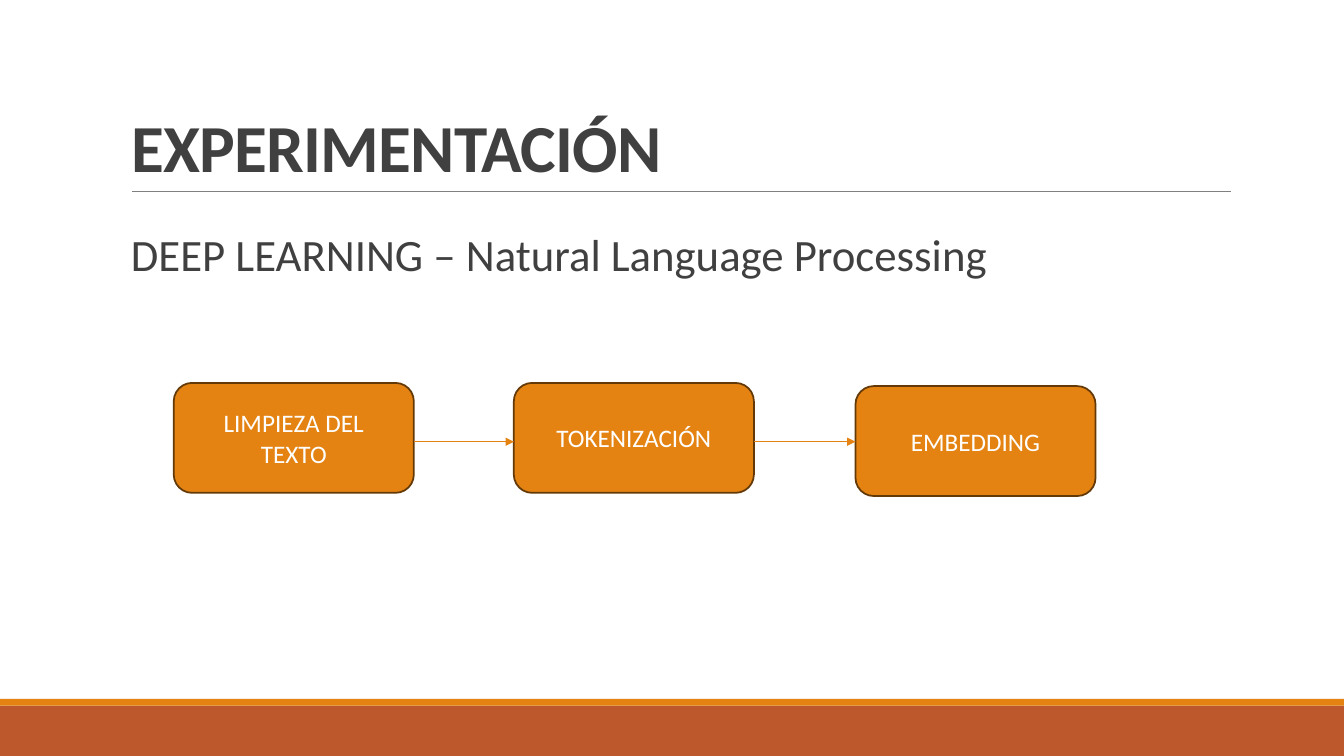
from dataclasses import dataclass

from lxml.etree import SubElement
from pptx import Presentation
from pptx.dml.color import RGBColor as RGB
from pptx.enum.shapes import MSO_CONNECTOR as CONNECTOR, MSO_SHAPE as SHAPE
from pptx.enum.text import MSO_ANCHOR as ANCHOR, MSO_AUTO_SIZE as AUTO, PP_ALIGN as ALIGN
from pptx.oxml.ns import qn
from pptx.util import Cm, Pt

TITLE = "EXPERIMENTACIÓN"
SUBTITLE = "DEEP LEARNING – Natural Language Processing"
# Step label, left and top in cm
STEPS = [
    ("LIMPIEZA DEL TEXTO", 4.38, 9.65),
    ("TOKENIZACIÓN", 12.95, 9.65),
    ("EMBEDDING", 21.56, 9.73),
]
STEP_W, STEP_H = 6.05, 2.77
ARROW_Y = 11.13
SLIDE_W, SLIDE_H = 33.87, 19.05
FOOTER_H, STRIPE_H = 1.27, 0.17


@dataclass(frozen=True)
class Theme:
    font: str = "Calibri"
    text: RGB = RGB(0x40, 0x40, 0x40)
    white: RGB = RGB(0xFF, 0xFF, 0xFF)
    rule: RGB = RGB(0x80, 0x80, 0x80)
    orange: RGB = RGB(0xE4, 0x83, 0x12)
    rust: RGB = RGB(0xBD, 0x58, 0x2C)
    edge: RGB = RGB(0x64, 0x39, 0x08)
    title_size: int = 48
    subtitle_size: int = 32
    step_size: int = 18


THEME = Theme()


def place(sp, left, top, width, height):
    sp.left, sp.top, sp.width, sp.height = map(Cm, (left, top, width, height))


def write(sp, text, size, color, align, anchor, spacing=1.0, bold=False):
    """Fill a shape with one formatted paragraph and return that paragraph."""
    tf = sp.text_frame
    tf.text = text
    tf.word_wrap, tf.auto_size, tf.vertical_anchor = True, AUTO.NONE, anchor
    p = tf.paragraphs[0]
    p.alignment, p.line_spacing, p.space_before = align, spacing, Pt(0)
    font = p.runs[0].font
    font.name, font.size, font.bold = THEME.font, Pt(size), bold
    font.color.rgb = color
    return p


def add_block(slide, kind, box, fill, edge=None):
    sp = slide.shapes.add_shape(kind, *map(Cm, box))
    sp.shadow.inherit = False
    sp.fill.solid()
    sp.fill.fore_color.rgb = fill
    if edge is None:
        sp.line.fill.background()
    else:
        sp.line.color.rgb, sp.line.width = edge, Pt(1.25)
    return sp


def add_line(slide, x1, x2, y, color, width, arrow=False):
    line = slide.shapes.add_connector(CONNECTOR.STRAIGHT, Cm(x1), Cm(y), Cm(x2), Cm(y))
    line.line.color.rgb, line.line.width = color, Pt(width)
    if arrow:
        SubElement(line.line._get_or_add_ln(), qn("a:tailEnd"), type="triangle")
    SubElement(line._element.spPr, qn("a:effectLst"))


def add_frame(slide):
    footer_top = SLIDE_H - FOOTER_H
    add_block(slide, SHAPE.RECTANGLE, (0, footer_top, SLIDE_W, FOOTER_H), THEME.rust)
    add_block(slide, SHAPE.RECTANGLE, (0, footer_top - STRIPE_H, SLIDE_W, STRIPE_H), THEME.orange)
    add_line(slide, 3.33, 31.01, 4.83, THEME.rule, 0.5)


def add_headings(slide):
    title, body = slide.placeholders
    place(title, 3.05, 0.79, 27.94, 4.04)
    p = write(title, TITLE, THEME.title_size, THEME.text, ALIGN.LEFT, ANCHOR.BOTTOM, 0.85, True)
    p.runs[0].font._element.set("spc", "-50")

    place(body, 3.05, 5.74, 27.94, 10.57)
    p = write(body, SUBTITLE, THEME.subtitle_size, THEME.text, ALIGN.LEFT, ANCHOR.TOP, 0.9)
    tf = body.text_frame
    tf.margin_left = tf.margin_right = 0
    pPr = p._p.get_or_add_pPr()
    pPr.set("marL", str(Cm(0.25)))
    pPr.set("indent", "0")
    SubElement(pPr, qn("a:buNone"))


def add_steps(slide):
    for label, left, top in STEPS:
        sp = add_block(slide, SHAPE.ROUNDED_RECTANGLE, (left, top, STEP_W, STEP_H),
                       THEME.orange, THEME.edge)
        write(sp, label, THEME.step_size, THEME.white, ALIGN.CENTER, ANCHOR.MIDDLE)
    for (_, left, _), (_, next_left, _) in zip(STEPS, STEPS[1:]):
        add_line(slide, left + STEP_W, next_left, ARROW_Y, THEME.orange, 1, arrow=True)


def main():
    prs = Presentation()
    prs.slide_width, prs.slide_height = Cm(SLIDE_W), Cm(SLIDE_H)
    slide = prs.slides.add_slide(prs.slide_layouts[1])
    add_frame(slide)
    add_headings(slide)
    add_steps(slide)
    prs.save("out.pptx")


if __name__ == "__main__":
    main()
